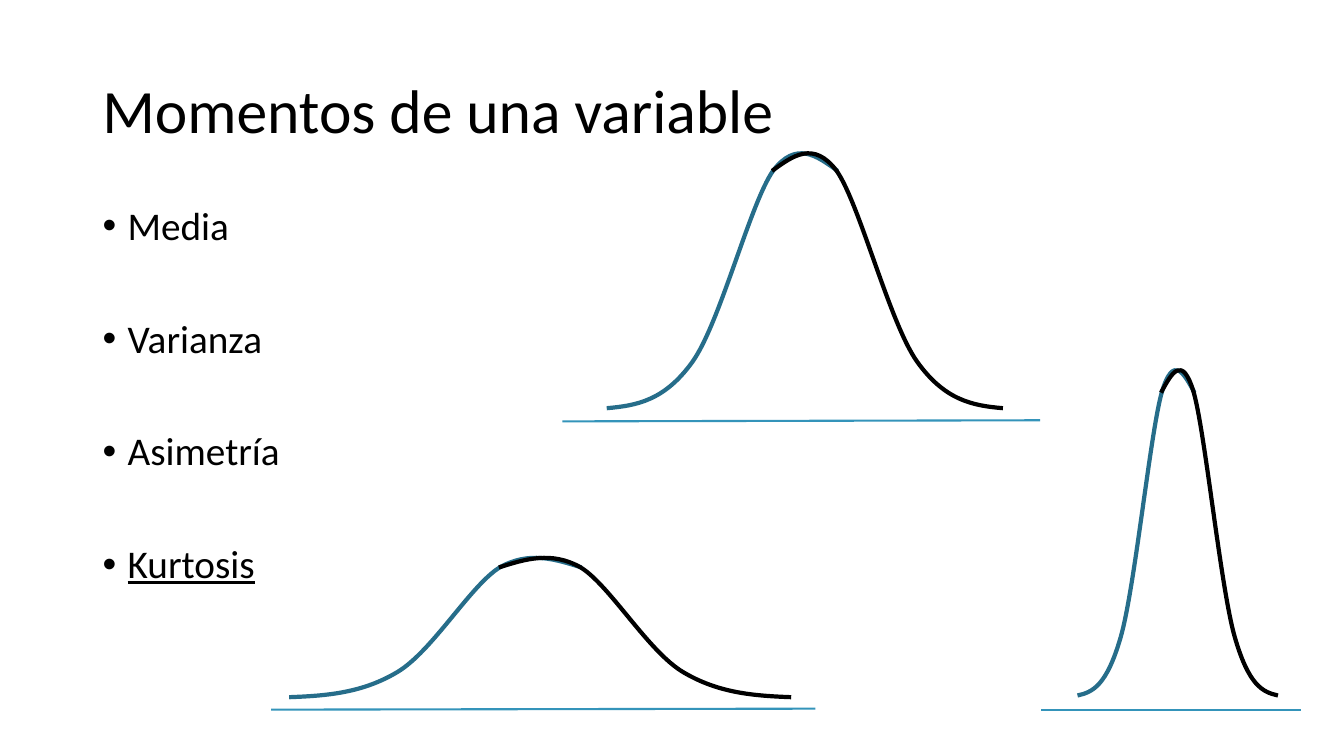
from dataclasses import dataclass

import lxml.etree
import pptx
import pptx.dml.color
import pptx.enum.shapes
import pptx.enum.text
import pptx.oxml.ns
import pptx.shapes.group
import pptx.slide
import pptx.text.text
import pptx.util

Pt = pptx.util.Pt
qn = pptx.oxml.ns.qn
ALIGN = pptx.enum.text.PP_ALIGN
ANCHOR = pptx.enum.text.MSO_ANCHOR


@dataclass(frozen=True)
class Theme:
    font: str = "Calibri"
    title_size: float = 44
    body_size: float = 28
    text: str = "000000"
    left_half: str = "266D8A"
    right_half: str = "000000"
    axis: str = "3494BA"
    curve_width: float = 3
    axis_width: float = 1.5


@dataclass(frozen=True)
class Bell:
    left: float
    top: float
    half_width: float
    height: float
    right_half_left: float


@dataclass(frozen=True)
class Axis:
    x1: float
    y1: float
    x2: float
    y2: float


THEME = Theme()
TOPICS = ["Media", "Varianza", "Asimetría", "Kurtosis"]
BELLS = [
    Bell(769.7, 264.2, 83.5, 232.6, 829.4),
    Bell(433.4, 109.4, 164.9, 182.2, 551.5),
    Bell(206.6, 398.4, 208.8, 99.6, 356.4),
]
AXES = [
    Axis(401.8, 301, 743, 300.2),
    Axis(743.8, 506.9, 929.5, 506.9),
    Axis(193.7, 506.9, 582.5, 506.2),
]
# Bezier control points after the foot of the bell at (0, 1),
# as fractions of the width and height of one half
HALF_BELL = [
    [(0.13, 0.99), (0.25, 0.97), (0.37, 0.82)],
    [(0.49, 0.67), (0.62, 0.2), (0.72, 0.07)],
    [(0.82, -0.05), (0.91, 0.01), (1, 0.07)],
]


def rgb(value: str) -> pptx.dml.color.RGBColor:
    return pptx.dml.color.RGBColor.from_string(value)


def add_half(group: pptx.shapes.group.GroupShape, bell: Bell, left: float,
             color: str, mirrored: bool) -> None:
    """Draw one half of a bell, its straight outline replaced by Bezier curves."""
    width, height = Pt(bell.half_width), Pt(bell.height)
    x, y = Pt(left), Pt(bell.top)
    builder = group.shapes.build_freeform(x, y + height)
    builder.add_line_segments([(x + width, y)], close=False)
    sp = builder.convert_to_shape()
    outline = next(sp._element.iter(qn("a:path")))
    outline.remove(outline.find(qn("a:lnTo")))
    for curve in HALF_BELL:
        bezier = lxml.etree.SubElement(outline, qn("a:cubicBezTo"))
        for u, v in curve:
            pt = lxml.etree.SubElement(bezier, qn("a:pt"))
            pt.set("x", str(round(width * u)))
            pt.set("y", str(round(height * v)))
    if mirrored:
        sp._element.spPr.find(qn("a:xfrm")).set("flipH", "1")
    sp.shadow.inherit = False
    sp.fill.background()
    sp.line.color.rgb = rgb(color)
    sp.line.width = Pt(THEME.curve_width)


def add_bell(s: pptx.slide.Slide, bell: Bell) -> None:
    group = s.shapes.add_group_shape()
    add_half(group, bell, bell.left, THEME.left_half, mirrored=False)
    add_half(group, bell, bell.right_half_left, THEME.right_half, mirrored=True)


def add_axis(s: pptx.slide.Slide, axis: Axis) -> None:
    line = s.shapes.add_connector(
        pptx.enum.shapes.MSO_CONNECTOR.STRAIGHT,
        Pt(axis.x1), Pt(axis.y1), Pt(axis.x2), Pt(axis.y2))
    line.line.color.rgb = rgb(THEME.axis)
    line.line.width = Pt(THEME.axis_width)
    lxml.etree.SubElement(line._element.spPr, qn("a:effectLst"))


def add_text_frame(s: pptx.slide.Slide, left: float, top: float, width: float,
                   height: float, anchor: ANCHOR) -> pptx.text.text.TextFrame:
    tf = s.shapes.add_textbox(Pt(left), Pt(top), Pt(width), Pt(height)).text_frame
    tf.word_wrap = True
    tf.vertical_anchor = anchor
    return tf


def add_bullet(p: pptx.text.text._Paragraph) -> None:
    props = p._p.get_or_add_pPr()
    props.set("marL", str(Pt(18)))
    props.set("indent", str(Pt(-18)))
    for tag, key, value in [("a:buFont", "typeface", "Arial"),
                            ("a:buChar", "char", "•")]:
        lxml.etree.SubElement(props, qn(tag)).set(key, value)


def write(tf: pptx.text.text.TextFrame, text: str, *, size: float,
          align: ALIGN = ALIGN.LEFT, first: bool = True, before: float = 0,
          bullet: bool = False, underline: bool = False) -> None:
    p = tf.paragraphs[0] if first else tf.add_paragraph()
    if bullet:
        add_bullet(p)
    p.alignment = align
    p.line_spacing = 0.9
    if not first:
        p.space_before = Pt(before)
    r = p.add_run()
    r.text = text
    r.font.name = THEME.font
    r.font.size = Pt(size)
    r.font.color.rgb = rgb(THEME.text)
    if underline:
        r.font.underline = True


def main() -> None:
    prs = pptx.Presentation()
    prs.slide_width, prs.slide_height = Pt(960), Pt(540)
    s = prs.slides.add_slide(prs.slide_layouts[6])

    title = add_text_frame(s, 66, 28.8, 828, 104.4, ANCHOR.MIDDLE)
    write(title, "Momentos de una variable", size=THEME.title_size)
    body = add_text_frame(s, 66.2, 144, 828, 342.7, ANCHOR.TOP)
    for i, topic in enumerate(TOPICS):
        write(body, topic, size=THEME.body_size, align=ALIGN.JUSTIFY,
              first=i == 0, before=50.3, bullet=True,
              underline=topic == "Kurtosis")

    for bell in BELLS:
        add_bell(s, bell)
    for axis in AXES:
        add_axis(s, axis)
    prs.save("out.pptx")


if __name__ == "__main__":
    main()
